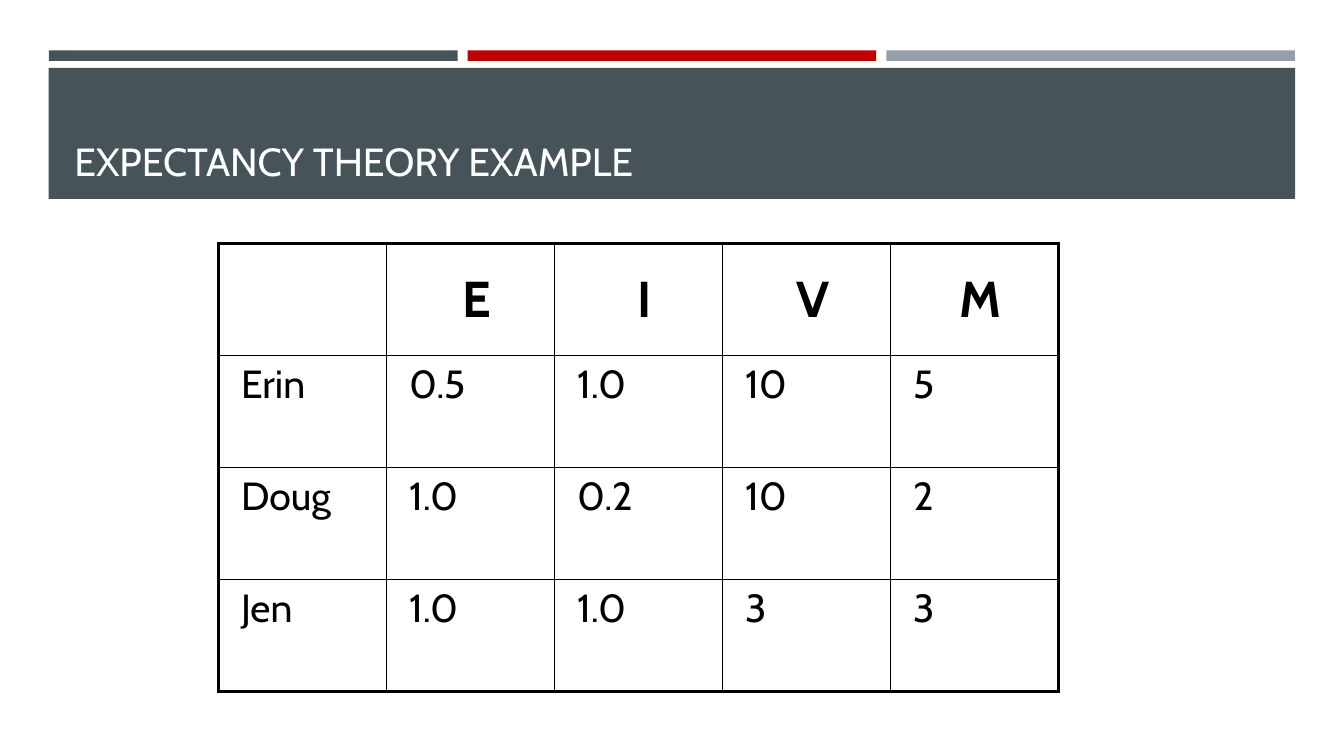
from lxml import etree
from pptx import Presentation
from pptx.dml.color import RGBColor
from pptx.enum.shapes import MSO_SHAPE
from pptx.enum.text import MSO_ANCHOR, PP_ALIGN
from pptx.oxml.ns import qn
from pptx.util import Pt

RECTANGLE = MSO_SHAPE.RECTANGLE
BOTTOM, MIDDLE, TOP = MSO_ANCHOR.BOTTOM, MSO_ANCHOR.MIDDLE, MSO_ANCHOR.TOP
CENTER, LEFT = PP_ALIGN.CENTER, PP_ALIGN.LEFT

FONT = "Cabin"
SLATE, RED, GREY = "465359", "C00000", "969FA7"
BLACK, WHITE = "000000", "FFFFFF"
THIN, THICK = 1, 2.25
CELL_INDENT = 9

SCORES = [
    ["", "E", "I", "V", "M"],
    ["Erin", "0.5", "1.0", "10", "5"],
    ["Doug", "1.0", "0.2", "10", "2"],
    ["Jen", "1.0", "1.0", "3", "3"],
]


def color(hex_value):
    return RGBColor.from_string(hex_value)


def style_font(paragraph, size, hex_value, bold=False):
    font = paragraph.font
    font.name, font.size, font.bold = FONT, Pt(size), bold
    font.color.rgb = color(hex_value)


def add_bar(slide, left, top, width, height, hex_value):
    bar = slide.shapes.add_shape(RECTANGLE, Pt(left), Pt(top), Pt(width), Pt(height))
    bar.shadow.inherit = False
    bar.fill.solid()
    bar.fill.fore_color.rgb = color(hex_value)
    bar.line.fill.background()


def add_accent_strip(slide, left, top, width, height):
    gap = 7.2
    bar_width = (width - 2 * gap) / 3
    for index, hex_value in enumerate([SLATE, RED, GREY]):
        add_bar(slide, left + index * (bar_width + gap), top, bar_width, height, hex_value)


def add_title_band(slide, left, top, width, height, wording):
    add_bar(slide, left, top, width, height, SLATE)
    # Title sits at the bottom of the band
    inset_x, inset_y = 11.2, 7
    title = slide.shapes.add_textbox(
        Pt(left + inset_x), Pt(top + inset_y),
        Pt(width - 2 * inset_x), Pt(height - 2 * inset_y))
    frame = title.text_frame
    frame.word_wrap = True
    frame.vertical_anchor = BOTTOM
    frame.text = wording
    style_font(frame.paragraphs[0], 28, WHITE)


def set_borders(cell, widths):
    """Draw the left, right, top and bottom edges, in that order."""
    properties = cell._tc.get_or_add_tcPr()
    for index, (side, width) in enumerate(zip("LRTB", widths)):
        edge = etree.Element(qn(f"a:ln{side}"), w=str(Pt(width)))
        fill = etree.SubElement(edge, qn("a:solidFill"))
        etree.SubElement(fill, qn("a:srgbClr"), val=BLACK)
        properties.insert(index, edge)


def add_score_table(slide, left, top, width, height, scores):
    row_count, column_count = len(scores), len(scores[0])
    table = slide.shapes.add_table(
        row_count, column_count, Pt(left), Pt(top), Pt(width), Pt(height)).table
    table.first_row = table.horz_banding = False
    for column in table.columns:
        column.width = Pt(width / column_count)
    for row in table.rows:
        row.height = Pt(height / row_count)

    for r, row_scores in enumerate(scores):
        header = r == 0
        for c, score in enumerate(row_scores):
            cell = table.cell(r, c)
            cell.text = score
            cell.vertical_anchor = MIDDLE if header else TOP
            cell.fill.background()
            paragraph = cell.text_frame.paragraphs[0]
            paragraph.alignment = CENTER if header else LEFT
            style_font(paragraph, 36 if header else 28, BLACK, header)
            paragraph_properties = paragraph._p.get_or_add_pPr()
            paragraph_properties.set("marL", str(Pt(CELL_INDENT)))
            paragraph_properties.set("indent", "0")
            # Outer edges are thick, inner ones thin
            outer = [c == 0, c == column_count - 1, r == 0, r == row_count - 1]
            set_borders(cell, [THICK if edge else THIN for edge in outer])


def main():
    deck = Presentation()
    deck.slide_width, deck.slide_height = Pt(960), Pt(540)
    slide = deck.slides.add_slide(deck.slide_layouts[6])
    add_accent_strip(slide, 35, 36, 890, 7.5)
    add_title_band(slide, 34.8, 48.5, 890.4, 93.6, "EXPECTANCY THEORY EXAMPLE")
    add_score_table(slide, 156, 174, 600, 320, SCORES)
    deck.save("out.pptx")


if __name__ == "__main__":
    main()
